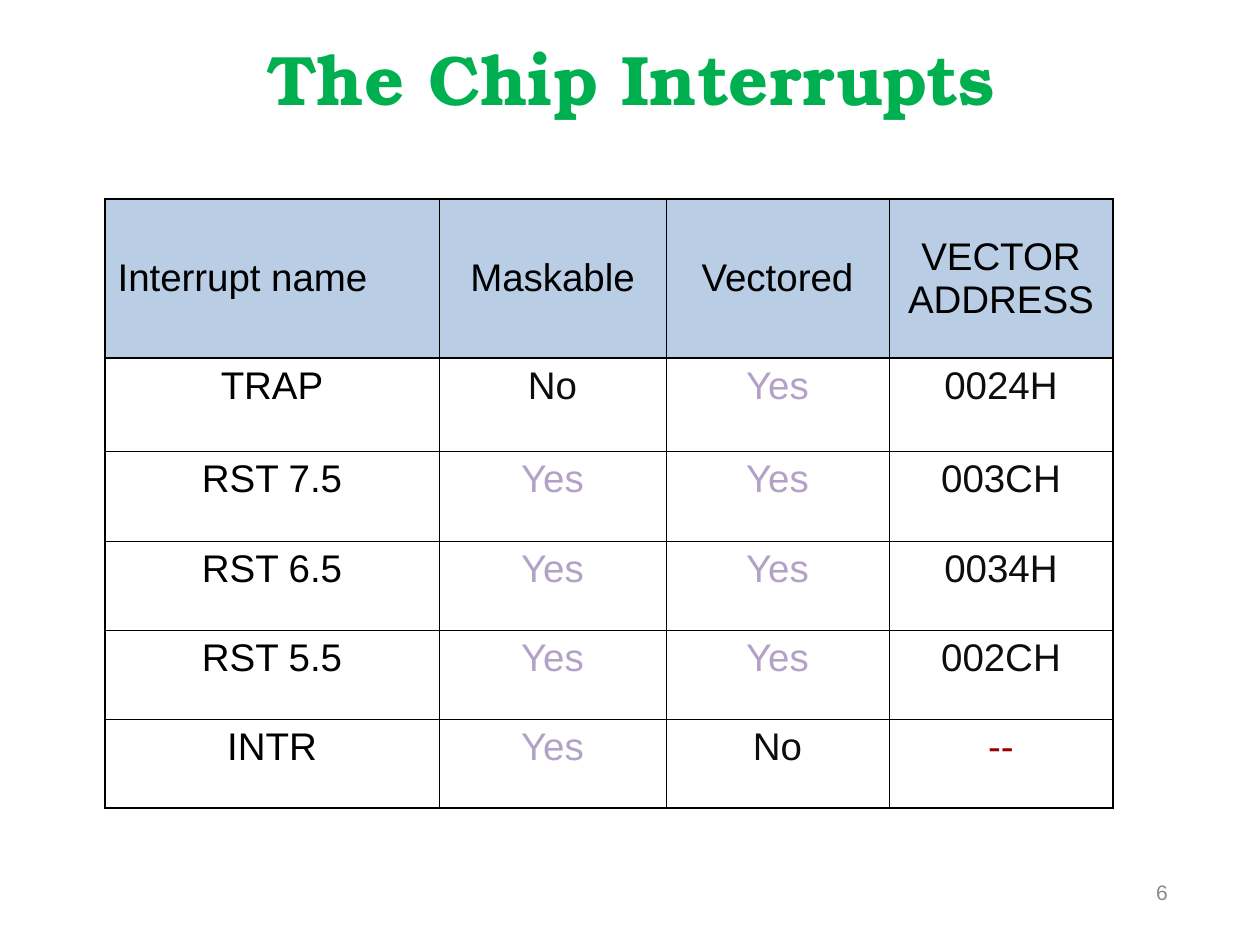
import pptx
import pptx.util
import pptx.dml.color
import pptx.enum.text
import pptx.oxml.ns
import lxml.etree

TITLE = "The Chip Interrupts"
HEADINGS = ["Interrupt name", "Maskable", "Vectored", "VECTOR ADDRESS"]
INTERRUPTS = [
    ("TRAP", "No", "Yes", "0024H"),
    ("RST 7.5", "Yes", "Yes", "003CH"),
    ("RST 6.5", "Yes", "Yes", "0034H"),
    ("RST 5.5", "Yes", "Yes", "002CH"),
    ("INTR", "Yes", "No", "--"),
]
PAGE_NUMBER = "6"

THEME = {
    "title": "00B050", "ink": "000000", "value": "0D0D0D", "yes": "B3A2C7",
    "none": "990000", "page": "898989", "heading_fill": "B9CDE5",
    "title_font": "TeX Gyre Bonum", "font": "Arial",
    "title_size": 40, "table_size": 22, "page_size": 12,
    "outer_line": 1.08, "inner_line": 0.45,
}

EMU_PER_PX = 914400 / 126
SLIDE_SIZE = (1260, 945)
TITLE_BOX = (96, 30, 1071, 94)
PAGE_BOX = (1113, 861, 67, 63)
TABLE_CORNER = (105, 199)
COLUMN_WIDTHS = [334, 227, 223, 224]
ROW_HEIGHTS = [159, 93, 90, 89, 89, 89]

ALIGN = pptx.enum.text.PP_ALIGN
ANCHOR = pptx.enum.text.MSO_ANCHOR


def px(length):
    return pptx.util.Emu(round(length * EMU_PER_PX))


def write(frame, text, *, size, color, font=THEME["font"], bold=False,
          align=ALIGN.CENTER, space_before=0):
    frame.word_wrap = True
    paragraph = frame.paragraphs[0]
    paragraph.alignment = align
    paragraph.space_before = pptx.util.Pt(space_before)
    run = paragraph.add_run()
    run.text = text
    run.font.name = font
    run.font.size = pptx.util.Pt(size)
    run.font.bold = bold
    run.font.color.rgb = pptx.dml.color.RGBColor.from_string(color)


def draw_border(cell, side, width):
    qn = pptx.oxml.ns.qn
    properties = cell._tc.get_or_add_tcPr()
    line = lxml.etree.SubElement(properties, qn(f"a:ln{side}"), w=str(int(pptx.util.Pt(width))))
    fill = lxml.etree.SubElement(line, qn("a:solidFill"))
    lxml.etree.SubElement(fill, qn("a:srgbClr"), val=THEME["ink"])


def value_color(value, column):
    if column == 0:
        return THEME["ink"]
    return {"Yes": THEME["yes"], "--": THEME["none"]}.get(value, THEME["value"])


def add_title(slide):
    title = slide.shapes.title
    title.left, title.top, title.width, title.height = map(px, TITLE_BOX)
    title.text_frame.auto_size = pptx.enum.text.MSO_AUTO_SIZE.NONE
    title.text_frame.vertical_anchor = ANCHOR.MIDDLE
    write(title.text_frame, TITLE, size=THEME["title_size"], color=THEME["title"],
          font=THEME["title_font"], bold=True)


def add_interrupt_table(slide):
    rows = [HEADINGS, *INTERRUPTS]
    size = (sum(COLUMN_WIDTHS), sum(ROW_HEIGHTS))
    table = slide.shapes.add_table(
        len(rows), len(HEADINGS), *map(px, TABLE_CORNER + size)).table
    for column, width in zip(table.columns, COLUMN_WIDTHS):
        column.width = px(width)
    for row, height in zip(table.rows, ROW_HEIGHTS):
        row.height = px(height)

    last_row, last_column = len(rows) - 1, len(HEADINGS) - 1
    for r, values in enumerate(rows):
        for c, value in enumerate(values):
            cell = table.cell(r, c)
            heading = r == 0
            outer_sides = {"L": c == 0, "R": c == last_column,
                           "T": r <= 1, "B": r in (0, last_row)}
            for side, outer in outer_sides.items():
                draw_border(cell, side, THEME["outer_line" if outer else "inner_line"])
            if heading:
                cell.fill.solid()
                cell.fill.fore_color.rgb = pptx.dml.color.RGBColor.from_string(
                    THEME["heading_fill"])
            else:
                cell.fill.background()
            cell.vertical_anchor = ANCHOR.MIDDLE if heading else ANCHOR.TOP
            write(cell.text_frame, value, size=THEME["table_size"], space_before=5.5,
                  color=THEME["ink"] if heading else value_color(value, c),
                  align=ALIGN.LEFT if heading and c == 0 else ALIGN.CENTER)


def add_page_number(slide):
    page = slide.shapes.add_textbox(*map(px, PAGE_BOX)).text_frame
    page.vertical_anchor = ANCHOR.MIDDLE
    write(page, PAGE_NUMBER, size=THEME["page_size"], color=THEME["page"], align=ALIGN.RIGHT)


def main():
    deck = pptx.Presentation()
    deck.slide_width, deck.slide_height = map(px, SLIDE_SIZE)
    slide = deck.slides.add_slide(deck.slide_layouts[5])
    add_title(slide)
    add_interrupt_table(slide)
    add_page_number(slide)
    deck.save("out.pptx")


if __name__ == "__main__":
    main()
